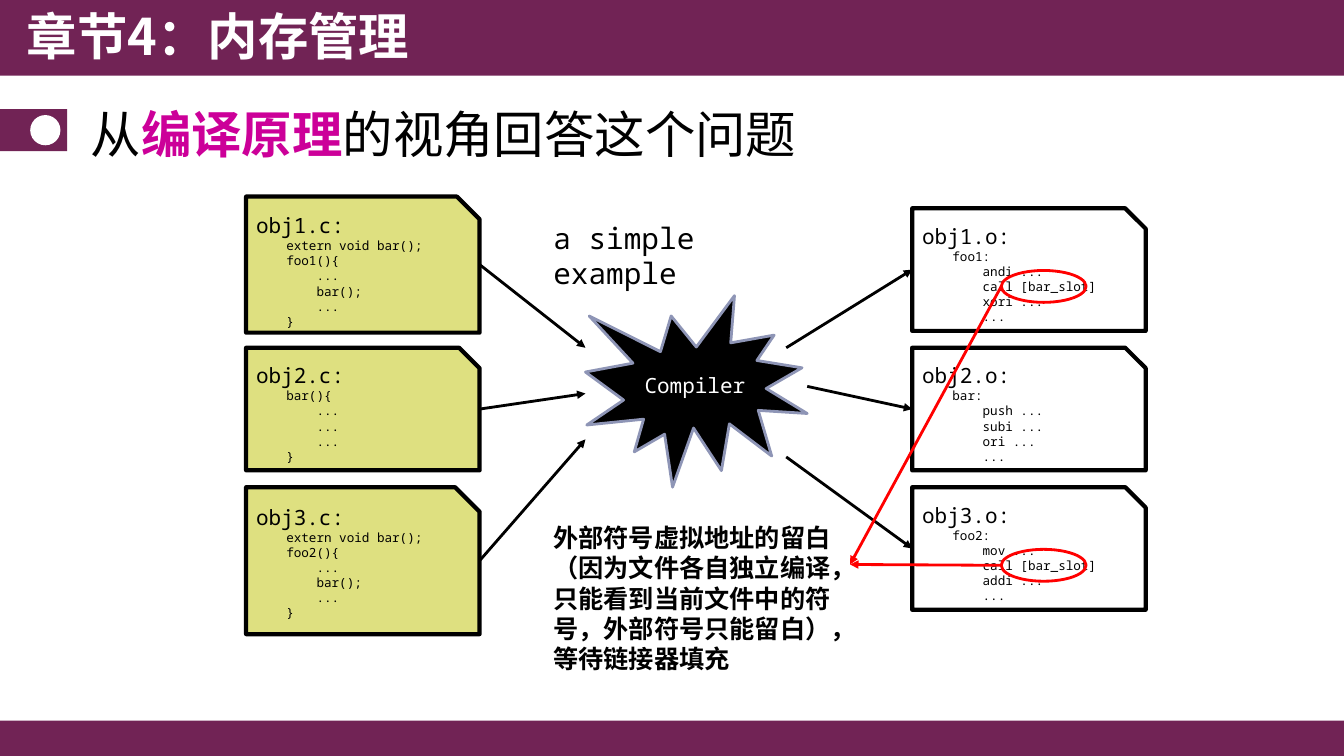
from math import cos, pi, sin

from lxml.etree import SubElement
from pptx import Presentation
from pptx.dml.color import RGBColor
from pptx.enum.shapes import MSO_CONNECTOR, MSO_SHAPE
from pptx.enum.text import MSO_ANCHOR, MSO_AUTO_SIZE, PP_ALIGN
from pptx.oxml.ns import qn
from pptx.util import Inches, Pt

MONO, HAN = "Noto Sans Mono", "Noto Sans CJK SC"
PLUM, BLACK, WHITE, RED = "712355", "000000", "FFFFFF", "FF0000"


def hue(code):
    return RGBColor.from_string(code)


def put(item, **vals):
    for key, val in vals.items():
        setattr(item, key, val)


class Board:
    cell = Inches(1 / 12)
    cols, rows = 160, 90
    looks = {
        "head": dict(name=MONO, size=Pt(15), bold=False),
        "code": dict(name=MONO, size=Pt(9), bold=False),
        "tag": dict(name=MONO, size=Pt(21), bold=False),
        "note": dict(name=HAN, size=Pt(18), bold=True),
        "title": dict(name=HAN, size=Pt(36), bold=True),
        "lead": dict(name=HAN, size=Pt(36), bold=False),
    }

    def __init__(self):
        self.deck = Presentation()
        put(self.deck, slide_width=self.span(self.cols), slide_height=self.span(self.rows))
        self.slide = self.deck.slides.add_slide(self.deck.slide_layouts[1])
        self.shapes = self.slide.shapes

    def span(self, count):
        return round(count * self.cell)

    def place(self, *box):
        return [self.span(count) for count in box]

    def paint(self, shape, fill, edge=None, width=2):
        shape.shadow.inherit = False
        if fill:
            shape.fill.solid()
            shape.fill.fore_color.rgb = hue(fill)
        else:
            shape.fill.background()
        if edge:
            shape.line.color.rgb = hue(edge)
            shape.line.width = Pt(width)
        else:
            shape.line.fill.background()
        return shape

    def shape(self, kind, box, fill, edge=None, width=2):
        item = self.shapes.add_shape(kind, *self.place(*box))
        return self.paint(item, fill, edge, width)

    def outline(self, points, fill):
        first, *rest = points
        maker = self.shapes.build_freeform(*first, scale=self.cell)
        maker.add_line_segments(rest)
        return self.paint(maker.convert_to_shape(), fill)

    def letter(self, shape, paras, anchor=MSO_ANCHOR.TOP, align=PP_ALIGN.LEFT):
        frame = shape.text_frame
        put(frame, word_wrap=True, auto_size=MSO_AUTO_SIZE.NONE, vertical_anchor=anchor)
        for index, runs in enumerate(paras):
            para = frame.add_paragraph() if index else frame.paragraphs[0]
            put(para, alignment=align, space_before=Pt(0))
            for text, look, tint in runs:
                run = para.add_run()
                run.text = text
                put(run.font, **self.looks[look])
                run.font.color.rgb = hue(tint)
                SubElement(run.font._element, qn("a:ea"), typeface=self.looks[look]["name"])

    def label(self, box, text, look):
        self.letter(self.shapes.add_textbox(*self.place(*box)), [[(text, look, BLACK)]])

    def holder(self, index, box, runs, anchor):
        item = self.slide.placeholders[index]
        put(item, **dict(zip(("left", "top", "width", "height"), self.place(*box))))
        props = item.text_frame.paragraphs[0]._p.get_or_add_pPr()
        props.set("marL", "0")
        props.set("indent", "0")
        SubElement(props, qn("a:buNone"))
        self.letter(item, [runs], anchor)
        item._element.getparent().append(item._element)

    def card(self, box, fill, code):
        head, *lines = code.split("\n")
        card = self.shape(MSO_SHAPE.SNIP_1_RECTANGLE, box, fill, BLACK, 3)
        self.letter(card, [[(head, "head", BLACK)]] + [[(line, "code", BLACK)] for line in lines])

    def arrow(self, start, end, tint):
        item = self.shapes.add_connector(MSO_CONNECTOR.STRAIGHT, *self.place(*start, *end))
        item.line.color.rgb = hue(tint)
        item.line.width = Pt(2)
        props = item._element.spPr
        SubElement(props.get_or_add_ln(), qn("a:tailEnd"), type="triangle")
        SubElement(props, qn("a:effectLst"))


SOURCES = [
    (23.4, 16.2, """obj1.c:
    extern void bar();
    foo1(){
        ...
        bar();
        ...
    }"""),
    (41.4, 14.6, """obj2.c:
    bar(){
        ...
        ...
        ...
    }"""),
    (58, 17.5, """obj3.c:
    extern void bar();
    foo2(){
        ...
        bar();
        ...
    }"""),
]
OBJECTS = [
    ((93.6, 41.4), """obj1.o:
    foo1:
        andi ...
        call [bar_slot]
        xori ...
        ..."""),
    ((96.1, 46), """obj2.o:
    bar:
        push ...
        subi ...
        ori ...
        ..."""),
    ((93.6, 54.4), """obj3.o:
    foo2:
        mov ...
        call [bar_slot]
        addi ...
        ..."""),
]
WIDE, TALL = 27.8, 14.6
LEFT, RIGHT = 29.3, 108.6


def main():
    board = Board()
    for top, high in ((85.8, 4.2), (0, 9)):
        board.shape(MSO_SHAPE.RECTANGLE, (0, top, board.cols, high), PLUM)
    turns = [pi * (step / 24 - 0.5) for step in range(25)]
    curve = [(6.3 + 2 * cos(turn), 15.5 + 2.7 * sin(turn)) for turn in turns]
    board.outline([(0, 12.8), *curve, (0, 18.2)], PLUM)
    board.shape(MSO_SHAPE.OVAL, (3.6, 13.7, 3.6, 3.6), WHITE)

    burst = board.shape(MSO_SHAPE.EXPLOSION1, (69.7, 35.2, 26.4, 22.8), BLACK, "8E95B6")
    board.letter(burst, [[("Compiler", "head", WHITE)]], MSO_ANCHOR.MIDDLE, PP_ALIGN.CENTER)

    for index, (top, high, code) in enumerate(SOURCES):
        board.card((LEFT, top, WIDE, high), "DEE080", code)
        board.arrow((LEFT + WIDE, top + high / 2), (69.7, 41.4 + 5.45 * index), BLACK)

    slots = []
    for index, (start, code) in enumerate(OBJECTS):
        top = 24.8 + 16.6 * index
        mid = top + TALL / 2
        board.card((RIGHT, top, WIDE, TALL), WHITE, code)
        board.arrow(start, (RIGHT, mid), BLACK)
        if "bar_slot" in code:
            slots.append(mid + 0.1)

    board.label((64.7, 25.6, 33.6, 5.4), "a simple example", "tag")
    board.label((64.7, 61.6, 37.2, 19.4),
                "外部符号虚拟地址的留白（因为文件各自独立编译，只能看到当前文件中的符号，外部符号只能留白），等待链接器填充", "note")
    for top in slots:
        board.shape(MSO_SHAPE.OVAL, (119.2, top, 10.1, 3.8), None, RED)
        board.arrow((119.2, top + 1.9), (101.2, 67.2), RED)

    board.holder(0, (2, 0, 80, 9.2), [("章节4：内存管理", "title", WHITE)], MSO_ANCHOR.TOP)
    board.holder(1, (9.6, 11.4, 138.4, 9), [
        ("从", "lead", BLACK),
        ("编译原理", "title", "CC0099"),
        ("的视角回答这个问题", "lead", BLACK),
    ], MSO_ANCHOR.MIDDLE)
    board.deck.save("out.pptx")


if __name__ == "__main__":
    main()
